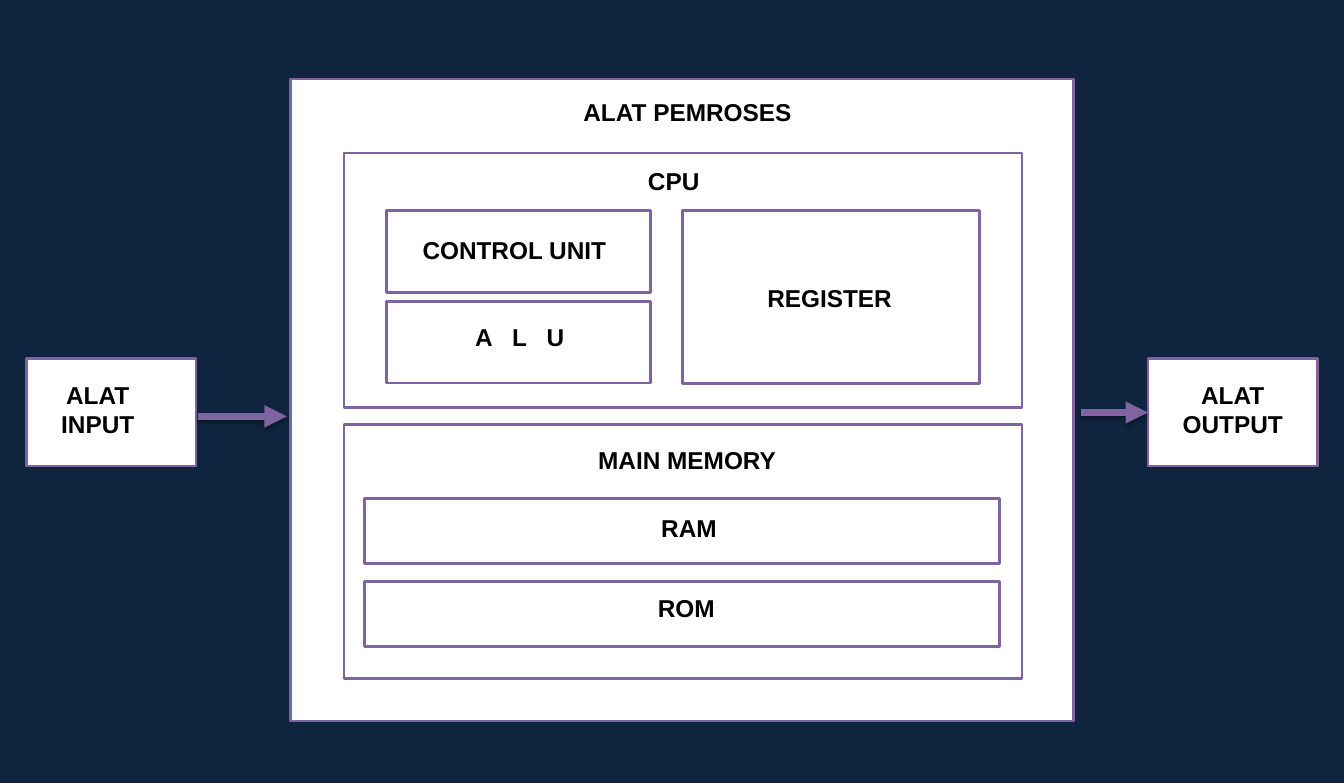
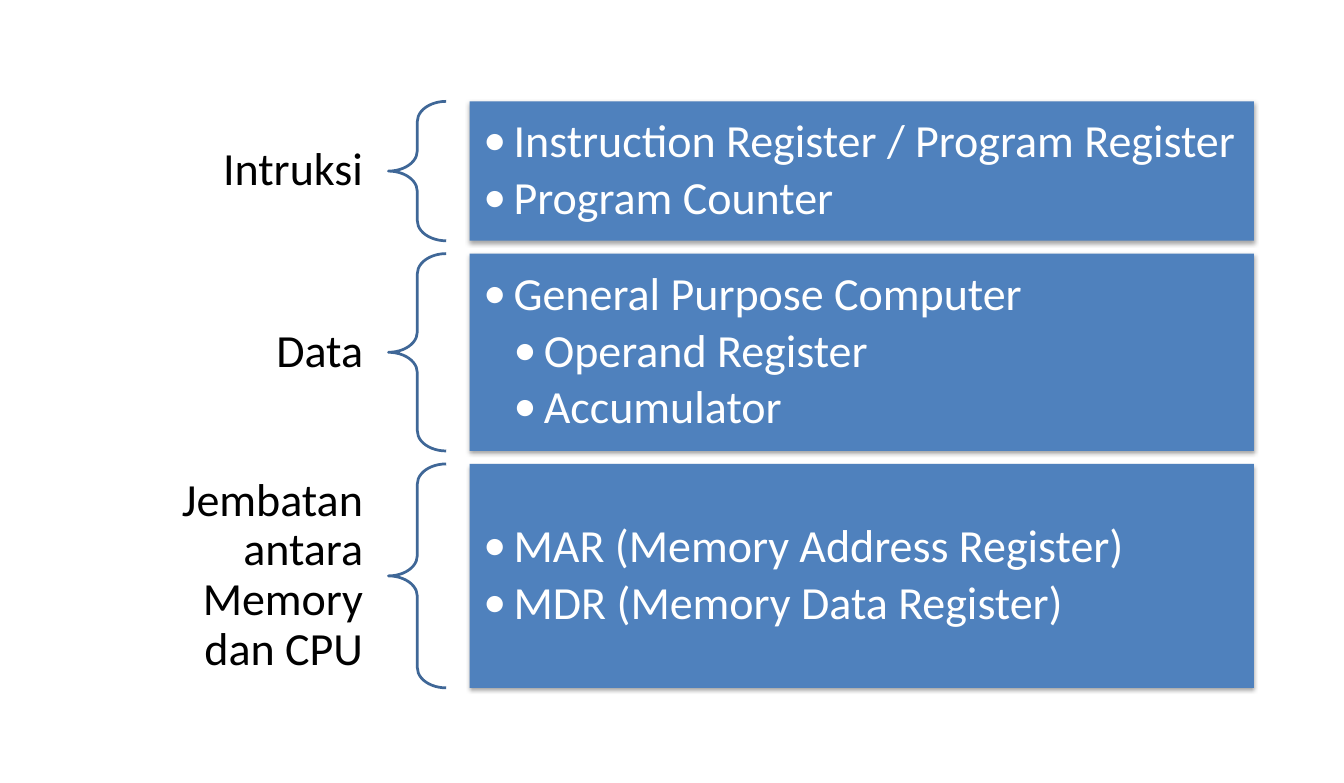
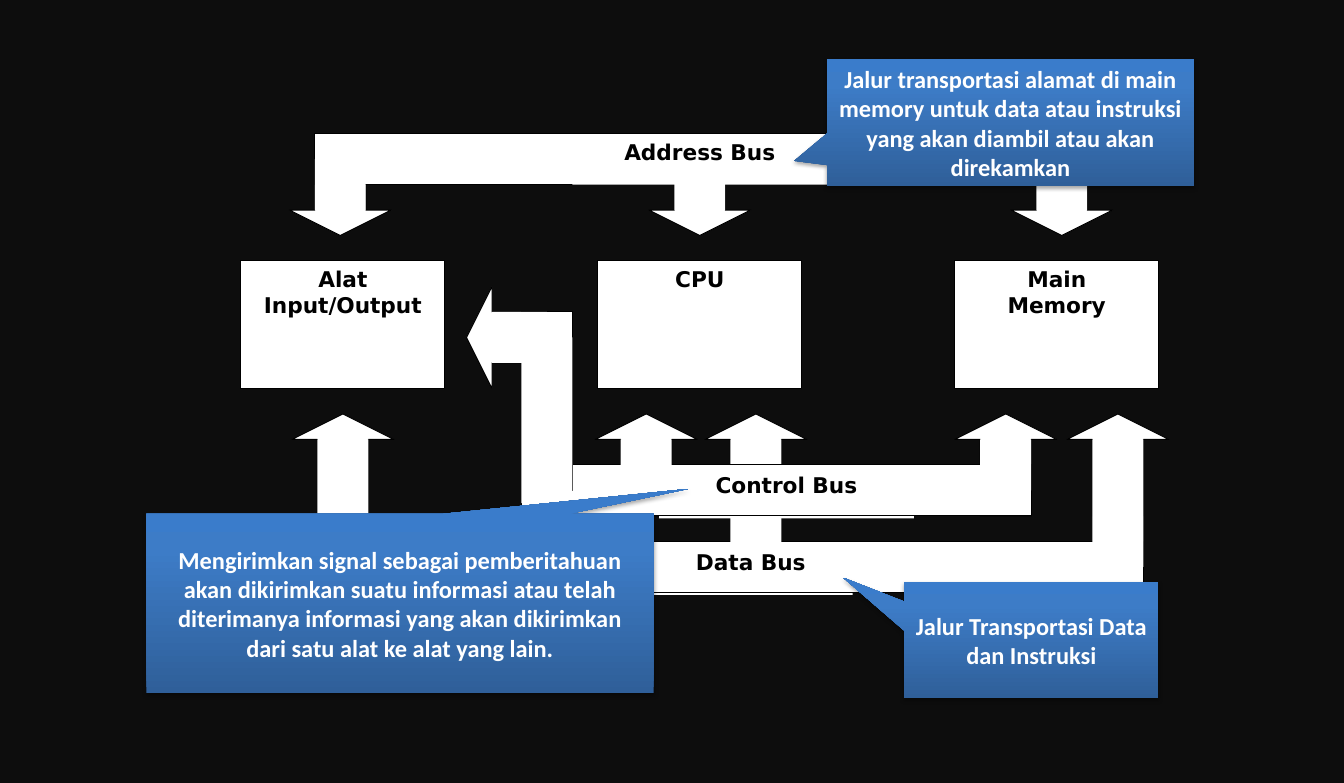
from copy import deepcopy
from dataclasses import dataclass
from typing import NamedTuple, Optional

from lxml import etree
from pptx import Presentation
from pptx.dml.color import RGBColor
from pptx.enum.shapes import MSO_CONNECTOR, MSO_SHAPE
from pptx.enum.text import MSO_ANCHOR, PP_ALIGN
from pptx.oxml.ns import qn
from pptx.util import Inches, Pt

RECTANGLE = MSO_SHAPE.RECTANGLE
DOWN_ARROW = MSO_SHAPE.DOWN_ARROW
UP_ARROW = MSO_SHAPE.UP_ARROW
LEFT_ARROW = MSO_SHAPE.LEFT_ARROW
LEFT_BRACE = MSO_SHAPE.LEFT_BRACE
CALLOUT = MSO_SHAPE.RECTANGULAR_CALLOUT
STRAIGHT = MSO_CONNECTOR.STRAIGHT
TOP, MIDDLE = MSO_ANCHOR.TOP, MSO_ANCHOR.MIDDLE
LEFT, CENTER, RIGHT = PP_ALIGN.LEFT, PP_ALIGN.CENTER, PP_ALIGN.RIGHT

SLIDE_WIDTH, SLIDE_HEIGHT = 13.78, 8.03
LEFT_SIDE = 1


class TextStyle(NamedTuple):
    font: str
    size: float
    color: str
    bold: bool = False


class Stroke(NamedTuple):
    color: str
    width: float


@dataclass(frozen=True)
class Theme:
    navy: str = "0F243E"
    white: str = "FFFFFF"
    black: str = "000000"
    charcoal: str = "0D0D0D"
    blue: str = "4F81BD"
    gradient: tuple = ((0, "2F5F99"), (0.8, "3D7CC7"), (1, "3A7CCB"))
    panel_line: Stroke = Stroke("8064A2", 2)
    flow_line: Stroke = Stroke("8064A2", 5.5)
    brace_line: Stroke = Stroke("3F6797", 2)
    bus_line: Stroke = Stroke("000000", 0.75)
    panel_text: TextStyle = TextStyle("Arial", 18, "000000", True)
    group_text: TextStyle = TextStyle("Calibri", 34, "000000")
    item_text: TextStyle = TextStyle("Calibri", 34, "FFFFFF")
    bus_text: TextStyle = TextStyle("DejaVu Sans", 16, "000000", True)
    note_text: TextStyle = TextStyle("Calibri", 18, "FFFFFF", True)


THEME = Theme()


class Grid(NamedTuple):
    """Origin and cell size in inches."""
    left: float
    top: float
    column: float
    row: float

    def x(self, columns: float) -> int:
        return Inches(self.left + columns * self.column)

    def y(self, rows: float) -> int:
        return Inches(self.top + rows * self.row)


class Region(NamedTuple):
    """Columns and rows of a grid."""
    left: float
    top: float
    width: float
    height: float

    @property
    def center(self) -> float:
        return self.left + self.width / 2

    @property
    def middle(self) -> float:
        return self.top + self.height / 2

    def halves(self, gap: float) -> tuple:
        """Two equal regions, one above the other."""
        height = (self.height - gap) / 2
        upper = self._replace(height=height)
        return upper, upper._replace(top=self.top + height + gap)

    def mirrored(self) -> "Region":
        """The region on the other side of a slide that is 100 columns wide."""
        return self._replace(left=100 - self.left - self.width)


PERCENT = Grid(0, 0, SLIDE_WIDTH / 100, SLIDE_HEIGHT / 100)


def add_slide(presentation, background: str):
    slide = presentation.slides.add_slide(presentation.slide_layouts[6])
    slide.background.fill.solid()
    slide.background.fill.fore_color.rgb = RGBColor.from_string(background)
    return slide


def set_effects(shape, shadow: bool) -> None:
    """Replace the theme shadow by none, or by a soft one below the shape."""
    properties = shape._element.spPr
    effects = properties.find(qn("a:effectLst"))
    if effects is None:
        effects = etree.SubElement(properties, qn("a:effectLst"))
    if shadow:
        outer = etree.SubElement(effects, qn("a:outerShdw"), blurRad=str(Pt(3.1)),
                                 dist=str(Pt(1.8)), dir="5400000", rotWithShape="0")
        color = etree.SubElement(outer, qn("a:srgbClr"), val=THEME.black)
        etree.SubElement(color, qn("a:alpha"), val="35000")


def set_stroke(line, stroke: Optional[Stroke]) -> None:
    if stroke is None:
        line.fill.background()
        return
    line.color.rgb = RGBColor.from_string(stroke.color)
    line.width = Pt(stroke.width)


def add_figure(slide, grid: Grid, region: Region, fill: Optional[str] = None,
               stroke: Optional[Stroke] = None, kind=RECTANGLE, shadow: bool = False):
    left, top = grid.x(region.left), grid.y(region.top)
    shape = slide.shapes.add_shape(
        kind, left, top, grid.x(region.left + region.width) - left,
        grid.y(region.top + region.height) - top)
    shape.shadow.inherit = False
    if fill is None:
        shape.fill.background()
    else:
        shape.fill.solid()
        shape.fill.fore_color.rgb = RGBColor.from_string(fill)
    set_stroke(shape.line, stroke)
    set_effects(shape, shadow)
    return shape


def add_line(slide, grid: Grid, start: tuple, end: tuple, stroke: Stroke,
             arrow: bool = False):
    connector = slide.shapes.add_connector(
        STRAIGHT, grid.x(start[0]), grid.y(start[1]), grid.x(end[0]), grid.y(end[1]))
    set_stroke(connector.line, stroke)
    if arrow:
        line = connector._element.spPr.find(qn("a:ln"))
        etree.SubElement(line, qn("a:tailEnd"), type="triangle")
    set_effects(connector, arrow)
    return connector


def set_text(shape, text: str, style: TextStyle, align=CENTER, anchor=TOP,
             wrap: bool = True, margins: tuple = (0.1, 0.05), line_spacing: float = 1):
    frame = shape.text_frame
    frame.text = text
    frame.word_wrap = wrap
    frame.vertical_anchor = anchor
    frame.margin_left = frame.margin_right = Inches(margins[0])
    frame.margin_top = frame.margin_bottom = Inches(margins[1])
    for paragraph in frame.paragraphs:
        paragraph.alignment = align
        paragraph.line_spacing = line_spacing
        for run in paragraph.runs:
            run.font.name = style.font
            run.font.size = Pt(style.size)
            run.font.bold = style.bold
            run.font.color.rgb = RGBColor.from_string(style.color)
    return frame


# Slide 1: computer architecture, in percent of the slide

class Panel(NamedTuple):
    """A framed box; its label hangs below the top edge, shifted from the centre."""
    text: str
    region: Region
    label_drop: float
    label_width: float
    label_shift: float = 0
    letter_spacing: int = 0


PROCESSOR = Region(21.6, 10.1, 58.3, 82)
CPU_PANEL, MEMORY_PANEL = Region(25.6, 19.55, 50.45, 67.15).halves(gap=2.15)
CONTROL_UNIT, ALU = Region(28.74, 26.9, 19.67, 22.04).halves(gap=1.12)
REGISTER = Region(50.8, 26.9, 22.06, 22.04)
RAM, ROM = Region(27.14, 63.64, 47.24, 18.92).halves(gap=2.24)
INPUT = Region(1.96, 45.83, 12.63, 13.7)
OUTPUT = INPUT.mirrored()

PANELS = (
    Panel("ALAT PEMROSES", PROCESSOR, 1.7, 17.1, 0.4),
    Panel("CPU", CPU_PANEL, 1, 5.3, -0.7),
    Panel("CONTROL UNIT", CONTROL_UNIT, 2.5, 15.2, -0.3),
    Panel("A L U", ALU, 2.1, 8.2, 0.1, letter_spacing=5),
    Panel("REGISTER", REGISTER, 8.6, 10.8, -0.1),
    Panel("MAIN MEMORY", MEMORY_PANEL, 2.1, 14.7, 0.3),
    Panel("RAM", RAM, 1.3, 5.7, 0.5),
    Panel("ROM", ROM, 0.9, 5.7, 0.3),
    Panel("ALAT\nINPUT", INPUT, 2.1, 7, -1),
    Panel("ALAT\nOUTPUT", OUTPUT, 2.1, 9),
)
LABEL_LINE_HEIGHT, LABEL_PADDING = 3.86, 1.12


def draw_panel(slide, panel: Panel):
    region = panel.region
    frame = add_figure(slide, PERCENT, region, THEME.white, THEME.panel_line)
    lines = panel.text.count("\n") + 1
    label = add_figure(slide, PERCENT, Region(
        region.center + panel.label_shift - panel.label_width / 2,
        region.top + panel.label_drop, panel.label_width,
        lines * LABEL_LINE_HEIGHT + LABEL_PADDING), THEME.white)
    text_frame = set_text(label, panel.text, THEME.panel_text, wrap=False)
    if panel.letter_spacing:
        run = text_frame.paragraphs[0].runs[0]
        run._r.get_or_add_rPr().set("spc", str(panel.letter_spacing * 100))
    return frame


def build_architecture(presentation) -> None:
    slide = add_slide(presentation, THEME.navy)
    frames = {panel.region: draw_panel(slide, panel) for panel in PANELS}
    input_row = 53.18
    add_line(slide, PERCENT, (14.75, input_row), (21.34, input_row),
             THEME.flow_line, arrow=True)
    to_output = add_line(slide, PERCENT, (80.4, OUTPUT.middle),
                         (OUTPUT.left, OUTPUT.middle), THEME.flow_line, arrow=True)
    to_output.end_connect(frames[OUTPUT], LEFT_SIDE)


# Slide 2: groups of registers, in percent of the slide

class RegisterGroup(NamedTuple):
    name: str
    height: float
    items: tuple  # (level, text)


REGISTER_GROUPS = (
    RegisterGroup("Intruksi", 17.8, ((0, "Instruction Register / Program Register"),
                                     (0, "Program Counter"))),
    RegisterGroup("Data", 25.2, ((0, "General Purpose Computer"),
                                 (1, "Operand Register"), (1, "Accumulator"))),
    RegisterGroup("Jembatan antara Memory dan CPU", 28.6,
                  ((0, "MAR (Memory Address Register)"),
                   (0, "MDR (Memory Data Register)"))),
)


def set_bullet(paragraph, level: int) -> None:
    paragraph.level = level
    indent = Inches(0.31)
    properties = paragraph._p.get_or_add_pPr()
    properties.set("marL", str(indent * (level + 1)))
    properties.set("indent", str(-indent))
    etree.SubElement(properties, qn("a:buFont"), typeface=THEME.item_text.font)
    etree.SubElement(properties, qn("a:buChar"), char="•")


def draw_register_group(slide, group: RegisterGroup, top: float) -> None:
    name = add_figure(slide, PERCENT, Region(7.4, top, 21.5, group.height))
    set_text(name, group.name, THEME.group_text, RIGHT, MIDDLE,
             margins=(0.26, 0.09), line_spacing=0.9)
    brace = add_figure(slide, PERCENT, Region(28.9, top, 4.3, group.height),
                       stroke=THEME.brace_line, kind=LEFT_BRACE)
    brace.adjustments[0] = 0.35
    box = add_figure(slide, PERCENT, Region(34.95, top, 58.35, group.height),
                     THEME.blue, shadow=True)
    frame = set_text(box, "\n".join(text for _, text in group.items), THEME.item_text,
                     LEFT, MIDDLE, margins=(0.14, 0.14), line_spacing=0.9)
    for paragraph, (level, _) in zip(frame.paragraphs, group.items):
        paragraph.space_after = Pt(5)
        set_bullet(paragraph, level)


def build_registers(presentation) -> None:
    slide = add_slide(presentation, THEME.white)
    top, gap = 12.95, 1.65
    for group in REGISTER_GROUPS:
        draw_register_group(slide, group, top)
        top += group.height + gap


# Slide 3: buses, on square cells; a bus is two cells thick

BUS_GRID = Grid(2.47, 1.37, 9.41 / 36, 9.41 / 36)
THICKNESS = 2
ARROW_SIZE, ARROW_HEAD = 4, 1
DEVICE_WIDTH, DEVICE_HEIGHT, DEVICE_ROW, DEVICE_STEP = 8, 5, 5, 14
DEVICES = ("Alat Input/Output", "CPU", "Main\nMemory")
IO_CENTER, CPU_CENTER, MEMORY_CENTER = (
    index * DEVICE_STEP + DEVICE_WIDTH / 2 for index in range(len(DEVICES)))
UPPER_ARROW_ROW, LOWER_ARROW_ROW = 0, 11
ELBOW_CENTER, ELBOW_ROW, ELBOW_TIP = 12, 8, 8.85


class Bus(NamedTuple):
    """A bar with one arrow per tap; taps and label are centre columns."""
    name: str
    row: float
    taps: tuple
    label_center: float
    label_width: float
    label_drop: float = 0
    start: Optional[float] = None

    @property
    def points_down(self) -> bool:
        return self.row < DEVICE_ROW

    @property
    def bar(self) -> Region:
        first = min(self.taps) if self.start is None else self.start
        return Region(first - THICKNESS / 2, self.row,
                      max(self.taps) - first + THICKNESS, THICKNESS)


BUSES = (
    Bus("Address Bus", 0, (IO_CENTER - 0.1, CPU_CENTER, MEMORY_CENTER + 0.2), 18, 10),
    Bus("Data Bus", 16, (IO_CENTER, CPU_CENTER + 2.2, MEMORY_CENTER + 2.4), 20, 8, 0.1),
    Bus("Control Bus", 13, (CPU_CENTER - 2.1, MEMORY_CENTER - 2), 21.4, 10, 0.1,
        start=ELBOW_CENTER),
)


class Note(NamedTuple):
    text: str
    region: Region
    tip: tuple


NOTES = (
    Note("Jalur Transportasi Data dan Instruksi",
         Region(67.27, 74.35, 18.94, 14.82), (-0.74, -0.54)),
    Note("Mengirimkan signal sebagai pemberitahuan akan dikirimkan suatu informasi "
         "atau telah diterimanya informasi yang akan dikirimkan dari satu alat ke "
         "alat yang lain.", Region(10.89, 65.63, 37.74, 22.91), (0.57, -0.64)),
    Note("Jalur transportasi alamat di main memory untuk data atau instruksi yang "
         "akan diambil atau akan direkamkan",
         Region(61.54, 7.6, 27.29, 16.19), (-0.59, 0.3)),
)


def add_bus_part(slide, region: Region, outlined: bool = True, kind=RECTANGLE):
    part = add_figure(slide, BUS_GRID, region, THEME.white,
                      THEME.bus_line if outlined else None, kind)
    if kind != RECTANGLE:
        part.adjustments[1] = ARROW_HEAD / ARROW_SIZE
    return part


def draw_devices(slide) -> None:
    for index, name in enumerate(DEVICES):
        device = add_bus_part(slide, Region(index * DEVICE_STEP, DEVICE_ROW,
                                            DEVICE_WIDTH, DEVICE_HEIGHT))
        set_text(device, name, THEME.bus_text)


def draw_bus(slide, bus: Bus) -> None:
    """Draw arrows, then the bar, then joints that hide the outlines between them."""
    if bus.points_down:
        kind, arrow_row = DOWN_ARROW, UPPER_ARROW_ROW
        neck = arrow_row + ARROW_SIZE - ARROW_HEAD
    else:
        kind, arrow_row = UP_ARROW, LOWER_ARROW_ROW
        neck = arrow_row + ARROW_HEAD
    for tap in bus.taps:
        add_bus_part(slide, Region(tap - ARROW_SIZE / 2, arrow_row,
                                   ARROW_SIZE, ARROW_SIZE), kind=kind)
    add_bus_part(slide, bus.bar)
    joint_top, joint_bottom = sorted((neck, bus.bar.middle))
    for tap in bus.taps:
        add_bus_part(slide, Region(tap - THICKNESS / 2, joint_top, THICKNESS,
                                   joint_bottom - joint_top), outlined=False)


def draw_elbow(slide, bus: Bus) -> None:
    """Lead the start of the bus upwards and then left to the input/output device."""
    half = THICKNESS / 2
    neck, top = ELBOW_TIP + ARROW_HEAD, ELBOW_ROW - half
    add_bus_part(slide, Region(ELBOW_TIP, ELBOW_ROW - ARROW_SIZE / 2,
                               ARROW_SIZE, ARROW_SIZE), kind=LEFT_ARROW)
    riser = Region(ELBOW_CENTER - half, top, THICKNESS, bus.bar.middle - top)
    add_bus_part(slide, riser)
    add_bus_part(slide, riser._replace(top=ELBOW_ROW, height=bus.bar.middle - ELBOW_ROW
                                       + half / 2), outlined=False)
    add_bus_part(slide, Region(neck, top, ELBOW_CENTER - neck, THICKNESS),
                 outlined=False)


def draw_bus_label(slide, bus: Bus) -> None:
    """Write the name on the bar and redraw the edge that the label covers."""
    left = bus.label_center - bus.label_width / 2
    label = add_bus_part(slide, Region(left, bus.row + bus.label_drop,
                                       bus.label_width, THICKNESS), outlined=False)
    set_text(label, bus.name, THEME.bus_text)
    edge = bus.row if bus.points_down else bus.row + THICKNESS
    add_line(slide, BUS_GRID, (left - 1, edge), (left + bus.label_width + 1, edge),
             THEME.bus_line)


def set_gradient(shape) -> None:
    shape.fill.gradient()
    shape.fill.gradient_angle = 90
    stops = shape._element.spPr.find(".//" + qn("a:gsLst"))
    stops.append(deepcopy(stops[-1]))
    for stop, (position, color) in zip(shape.fill.gradient_stops, THEME.gradient):
        stop.position = position
        stop.color.rgb = RGBColor.from_string(color)


def draw_note(slide, note: Note) -> None:
    callout = add_figure(slide, PERCENT, note.region, kind=CALLOUT, shadow=True)
    callout.adjustments[0], callout.adjustments[1] = note.tip
    set_gradient(callout)
    set_text(callout, note.text, THEME.note_text, anchor=MIDDLE)


def build_buses(presentation) -> None:
    slide = add_slide(presentation, THEME.charcoal)
    draw_devices(slide)
    for bus in BUSES:
        draw_bus(slide, bus)
        if bus.start is not None:
            draw_elbow(slide, bus)
        draw_bus_label(slide, bus)
    for note in NOTES:
        draw_note(slide, note)


def main() -> None:
    presentation = Presentation()
    presentation.slide_width = Inches(SLIDE_WIDTH)
    presentation.slide_height = Inches(SLIDE_HEIGHT)
    build_architecture(presentation)
    build_registers(presentation)
    build_buses(presentation)
    presentation.save("out.pptx")


if __name__ == "__main__":
    main()
